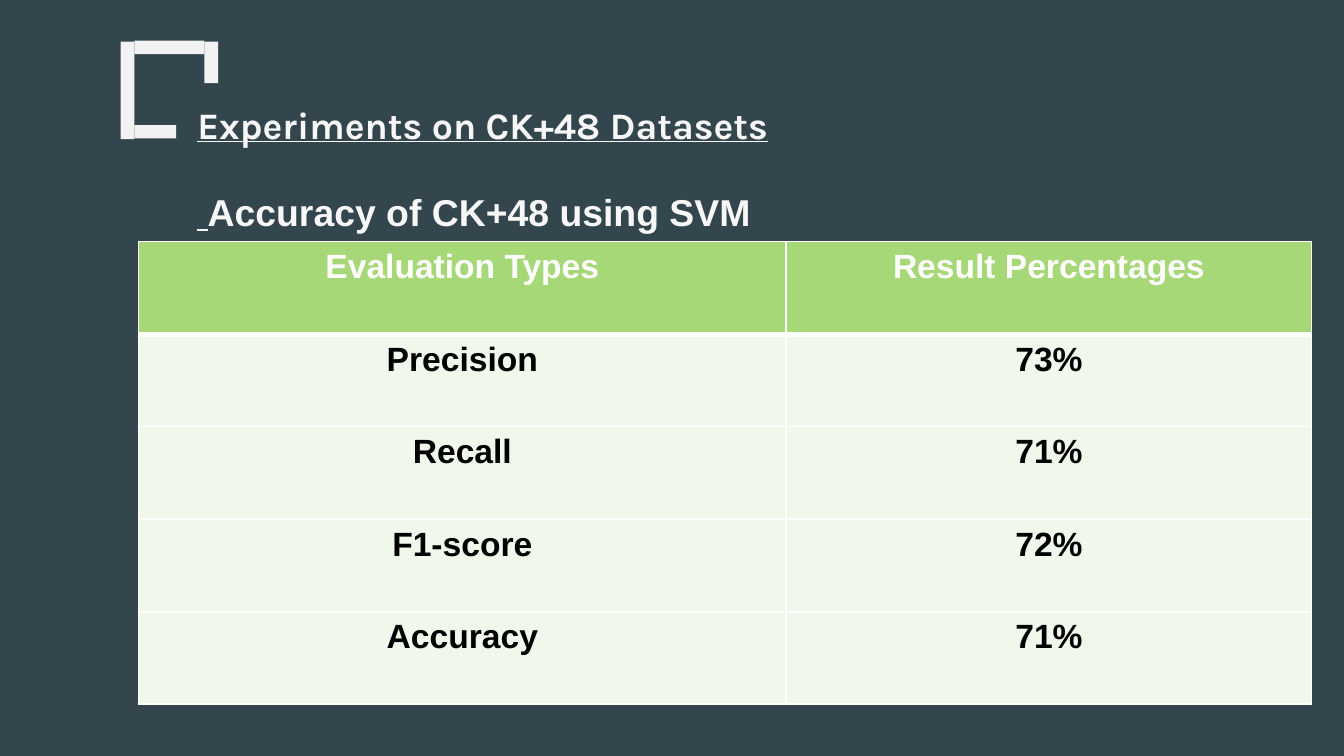
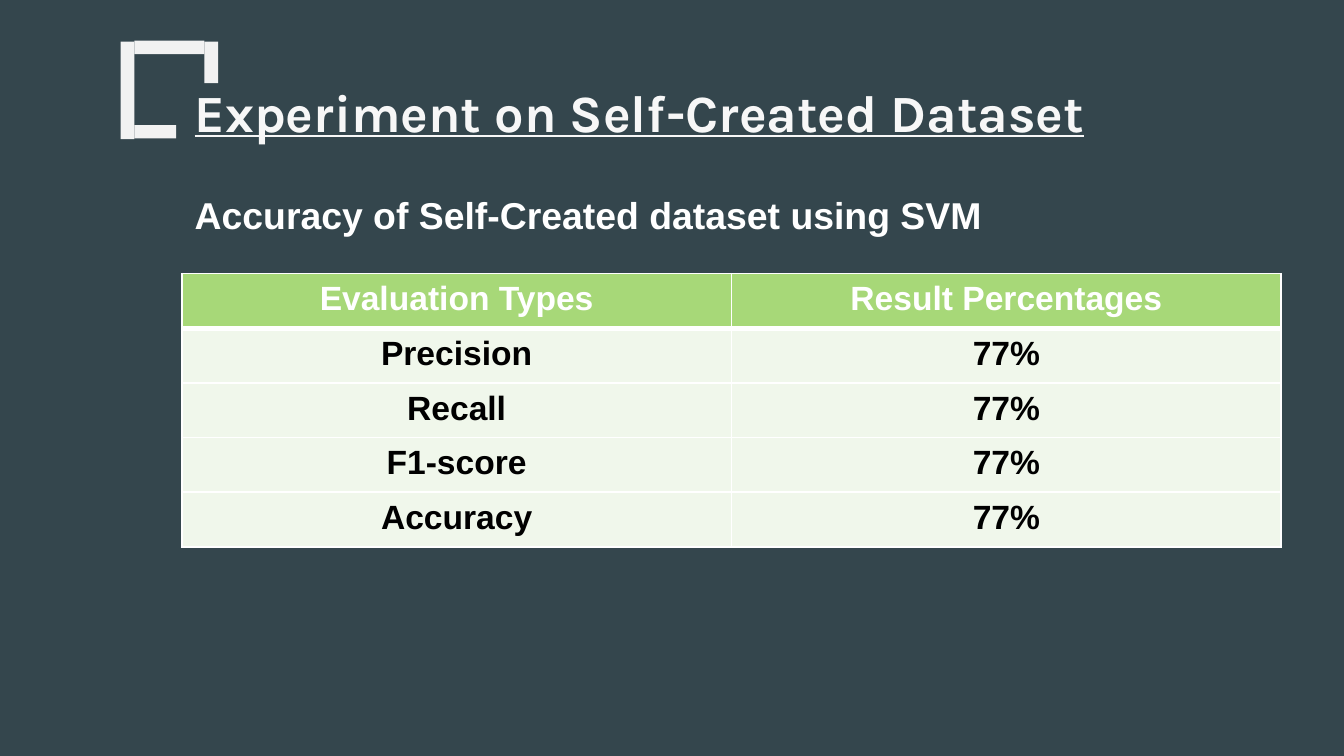
from dataclasses import dataclass

from lxml import etree
from pptx import Presentation
from pptx.dml.color import RGBColor
from pptx.enum.shapes import MSO_SHAPE
from pptx.enum.text import MSO_ANCHOR, PP_ALIGN
from pptx.oxml.ns import qn
from pptx.util import Pt

RECT = MSO_SHAPE.RECTANGLE
TOP = MSO_ANCHOR.TOP
MIDDLE = MSO_ANCHOR.MIDDLE
CENTER = PP_ALIGN.CENTER


@dataclass(frozen=True)
class Theme:
    background: str = "34464D"
    bracket: str = "F2F2F2"
    title: str = "F7F7F7"
    white: str = "FFFFFF"
    black: str = "000000"
    header: str = "A7D878"
    body: str = "F0F7EB"
    title_font: str = "Karla"
    body_font: str = "Arial"
    title_size: float = 28
    subtitle_size: float = 20
    table_size: float = 18
    thin: float = 0.96
    thick: float = 3


theme = Theme()

BRACKET = [
    (72, 21.8, 37.5, 7.3),
    (64.6, 22.3, 7.4, 52.3),
    (109.5, 22.3, 7.4, 22.3),
    (72, 67, 22.4, 7.2),
]
HEADER = ("Evaluation Types", "Result Percentages")
MEASURES = ("Precision", "Recall", "F1-score", "Accuracy")

SLIDES = [
    {
        "boxes": [
            ((98.6, 51.1, 519.8, 65.5), TOP, 3.6, [
                (0, [("Experiments on CK+48 Datasets", theme.title_font,
                      theme.subtitle_size, theme.title, True)]),
                (22.5, [(" ", theme.body_font, theme.subtitle_size, theme.title, True),
                        ("Accuracy of CK+48 using SVM", theme.body_font,
                         theme.subtitle_size, theme.title, False)]),
            ]),
        ],
        "table": (74.2, 129.4, (347, 281.5), 49.6),
        "results": ("73%", "71%", "72%", "71%"),
    },
    {
        "boxes": [
            ((97.2, 37.4, 562.3, 44.6), MIDDLE, 3.6, [
                (0, [("Experiment on Self-Created Dataset", theme.title_font,
                      theme.title_size, theme.title, True)]),
            ]),
            ((97.2, 95.8, 562.3, 247.7), TOP, 7.2, [
                (12, [("Accuracy of Self-Created dataset using SVM", theme.body_font,
                       theme.subtitle_size, theme.white, False)]),
            ]),
        ],
        "table": (97.4, 146.6, (294.5, 294.5), 29.3),
        "results": ("77%",) * 4,
    },
]


def add_run(p, text, font, size, color, underline=False):
    r = p.add_run()
    r.text = text
    r.font.name = font
    r.font.size = Pt(size)
    r.font.bold = True
    r.font.underline = underline
    r.font.color.rgb = RGBColor.from_string(color)


def set_borders(cell, widths):
    tc_pr = cell._tc.get_or_add_tcPr()
    for i, (side, width) in enumerate(zip("LRTB", widths)):
        ln = etree.Element(qn(f"a:ln{side}"), w=str(Pt(width)))
        fill = etree.SubElement(ln, qn("a:solidFill"))
        etree.SubElement(fill, qn("a:srgbClr"), val=theme.white)
        tc_pr.insert(i, ln)


prs = Presentation()
prs.slide_width = Pt(720)
prs.slide_height = Pt(405)
fill = prs.slide_master.background.fill
fill.solid()
fill.fore_color.rgb = RGBColor.from_string(theme.background)

for content in SLIDES:
    s = prs.slides.add_slide(prs.slide_layouts[6])

    for bar in BRACKET:
        sp = s.shapes.add_shape(RECT, *map(Pt, bar))
        sp.shadow.inherit = False
        sp.fill.solid()
        sp.fill.fore_color.rgb = RGBColor.from_string(theme.bracket)
        sp.line.fill.background()

    for box, anchor, inset, paragraphs in content["boxes"]:
        tf = s.shapes.add_textbox(*map(Pt, box)).text_frame
        tf.word_wrap = True
        tf.vertical_anchor = anchor
        tf.margin_top = Pt(inset)
        for i, (space, runs) in enumerate(paragraphs):
            p = tf.add_paragraph() if i else tf.paragraphs[0]
            p.space_before = Pt(space)
            for run in runs:
                add_run(p, *run)

    left, top, widths, row_height = content["table"]
    rows = [HEADER, *zip(MEASURES, content["results"])]
    table = s.shapes.add_table(
        len(rows), len(HEADER), Pt(left), Pt(top),
        Pt(sum(widths)), Pt(row_height * len(rows)),
    ).table
    for column, width in zip(table.columns, widths):
        column.width = Pt(width)
    for i, row in enumerate(rows):
        table.rows[i].height = Pt(row_height)
        color = theme.black if i else theme.white
        top_line = theme.thick if i == 1 else theme.thin
        bottom_line = theme.thin if i else theme.thick
        for j, text in enumerate(row):
            cell = table.cell(i, j)
            cell.fill.solid()
            cell.fill.fore_color.rgb = RGBColor.from_string(theme.body if i else theme.header)
            set_borders(cell, (theme.thin, theme.thin, top_line, bottom_line))
            p = cell.text_frame.paragraphs[0]
            p.alignment = CENTER
            add_run(p, text, theme.body_font, theme.table_size, color)

prs.save("out.pptx")
